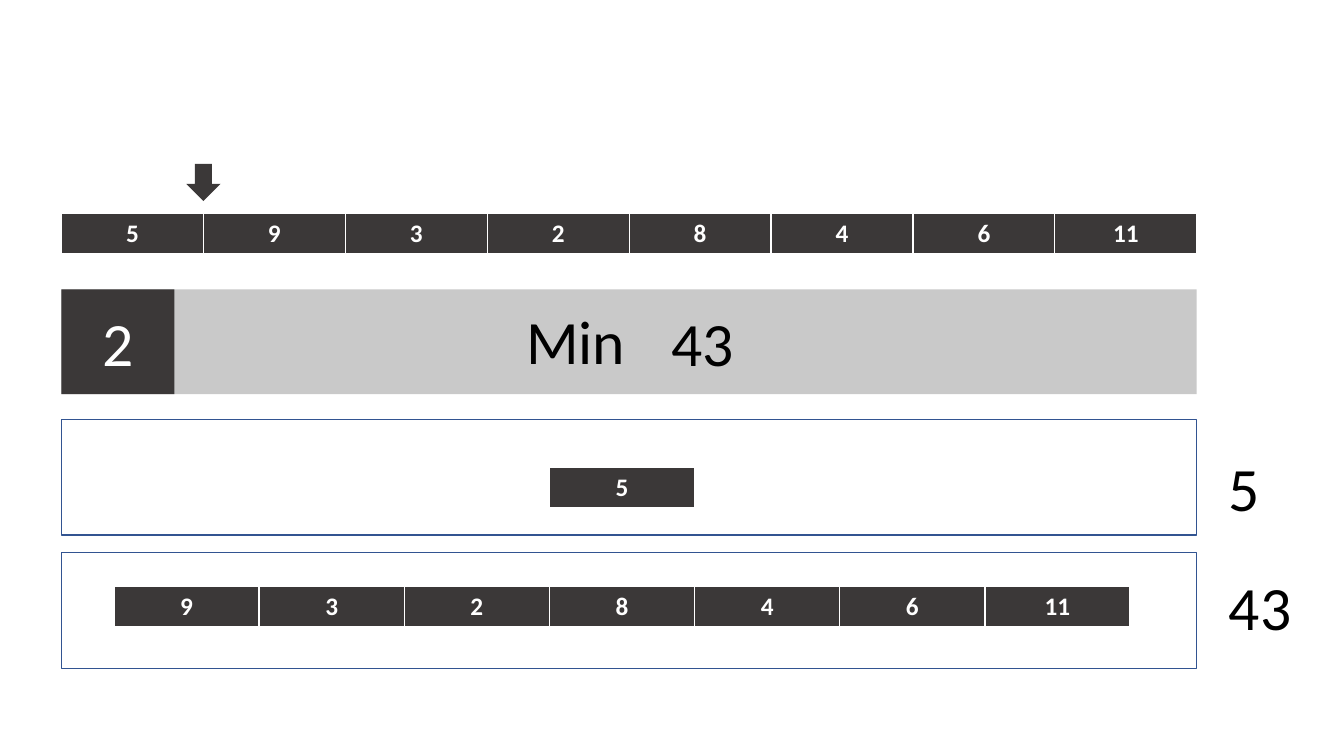
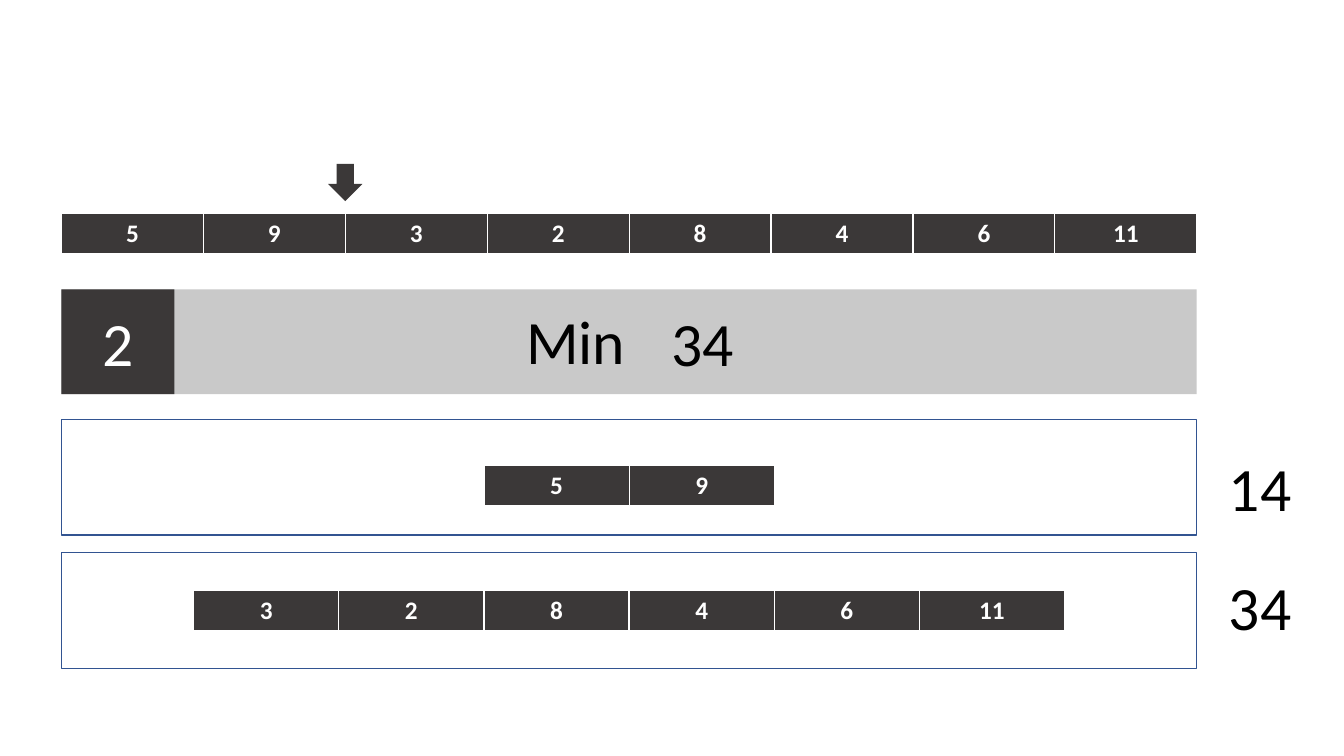
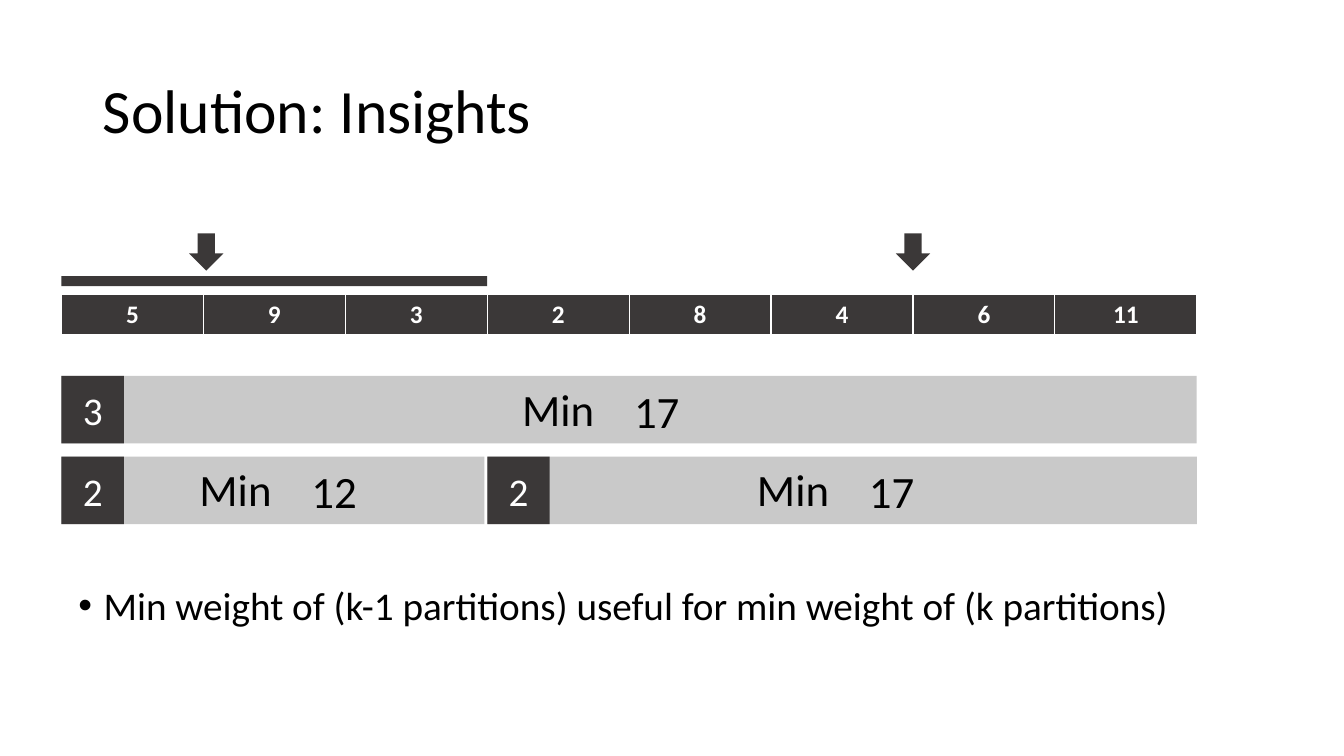
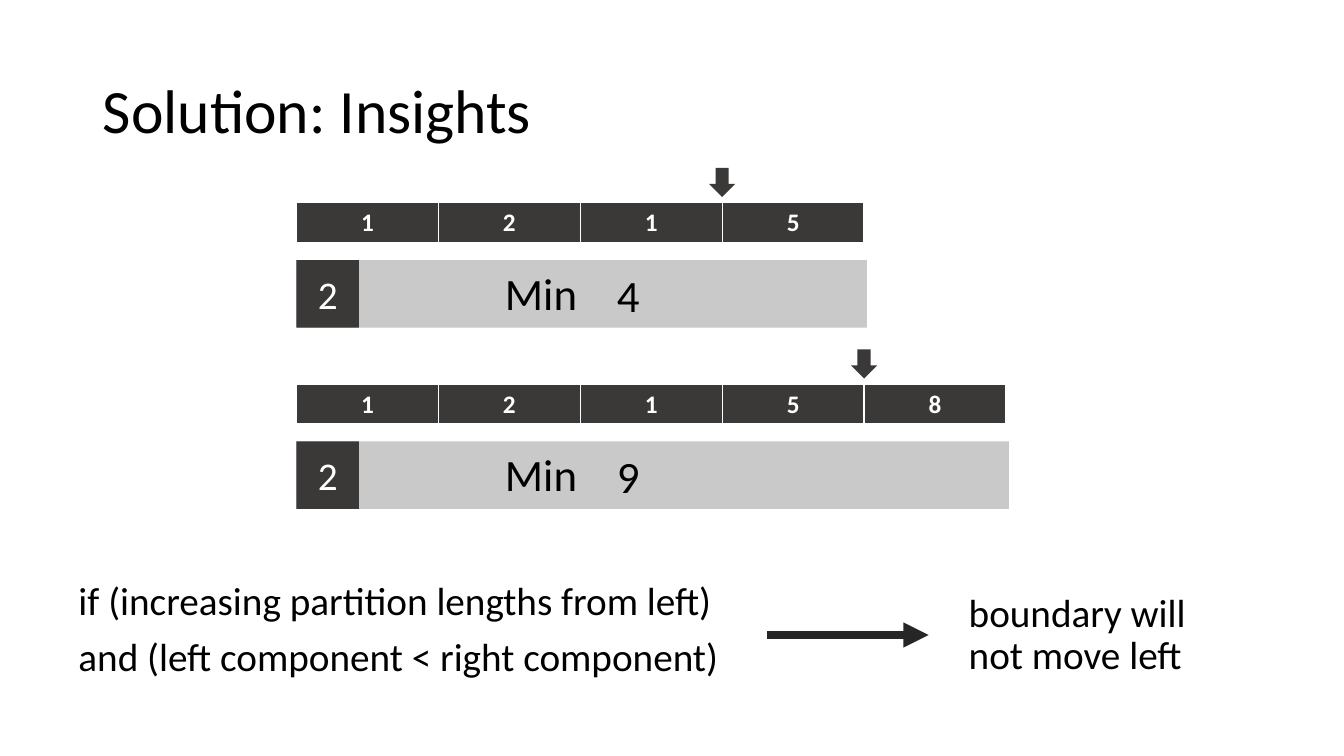
from lxml.etree import SubElement
from pptx import Presentation
from pptx.dml.color import RGBColor
from pptx.enum.shapes import MSO_CONNECTOR, MSO_SHAPE
from pptx.enum.text import MSO_ANCHOR, PP_ALIGN
from pptx.oxml.ns import qn
from pptx.util import Inches, Pt

DARK = RGBColor(0x3B, 0x38, 0x38)
GREY = RGBColor(0xC9, 0xC9, 0xC9)
BLUE = RGBColor(0x32, 0x54, 0x91)
INK = RGBColor(0x26, 0x26, 0x26)
BLACK = RGBColor(0, 0, 0)
WHITE = RGBColor(0xFF, 0xFF, 0xFF)
FONT = "Calibri"

SLIDE_WIDTH, SLIDE_HEIGHT = 13.33, 7.5
TITLE_ONLY, BLANK = 5, 6
MARGIN = 0.61
STRIP_WIDTH = 11.26
WEIGHTS = [5, 9, 3, 2, 8, 4, 6, 11]
COLUMN = STRIP_WIDTH / len(WEIGHTS)
GROUP_COLUMN = 1.44
CELL_HEIGHT = 0.41
GROUP_HEIGHT = 1.15
GROUP_TOPS = [4.16, 5.48]
TOTAL_CENTERS = [4.84, 6.02]
LARGE_BAR = {"height": 1.04, "badge": 1.12, "size": 44, "badge_size": 44, "step": 1.44}
SMALL_BAR = {"height": 0.67, "badge": 0.62, "size": 32, "badge_size": 28, "step": 1.11}


def inches(*lengths):
    """Convert several lengths to slide units."""
    return [Inches(length) for length in lengths]


def add_run(paragraph, text, size, color=BLACK, bold=False):
    """Append one formatted run to a paragraph."""
    run = paragraph.add_run()
    run.text = text
    run.font.name = FONT
    run.font.size = Pt(size)
    run.font.bold = bold
    run.font.color.rgb = color


def add_label(slide, text, left, center, width, size):
    """Place one line of text around a vertical centre."""
    height = size * 1.22 / 72 + 0.1
    label = slide.shapes.add_textbox(*inches(left, center - height / 2, width, height))
    label.text_frame.word_wrap = True
    add_run(label.text_frame.paragraphs[0], text, size)


def add_body(slide, lines, left, top, width, height, bullet=False):
    """Place body paragraphs, with bullets if wanted."""
    body = slide.shapes.add_textbox(*inches(left, top, width, height))
    frame = body.text_frame
    frame.word_wrap = True
    for index, line in enumerate(lines):
        paragraph = frame.add_paragraph() if index else frame.paragraphs[0]
        paragraph.line_spacing = 0.9
        paragraph.space_before = Pt(10)
        add_run(paragraph, line, 28)
        if bullet:
            properties = paragraph._p.get_or_add_pPr()
            properties.set("marL", str(Inches(0.25)))
            properties.set("indent", str(-Inches(0.25)))
            SubElement(properties, qn("a:buFont")).set("typeface", "Arial")
            SubElement(properties, qn("a:buChar")).set("char", "•")


def add_block(slide, left, top, width, height, fill=None, line=None, kind=MSO_SHAPE.RECTANGLE):
    """Draw a flat shape with an optional fill and outline."""
    block = slide.shapes.add_shape(kind, *inches(left, top, width, height))
    block.shadow.inherit = False
    if fill is None:
        block.fill.background()
    else:
        block.fill.solid()
        block.fill.fore_color.rgb = fill
    if line is None:
        block.line.fill.background()
    else:
        block.line.color.rgb = line
        block.line.width = Pt(1)
    return block


def add_border(cell, side, width):
    """Give one side of a cell a white border."""
    border = SubElement(cell._tc.get_or_add_tcPr(), qn(f"a:{side}"), w=str(Pt(width)))
    fill = SubElement(border, qn("a:solidFill"))
    SubElement(fill, qn("a:srgbClr")).set("val", str(WHITE))


def add_strip(slide, weights, left, top, column=COLUMN):
    """Draw a row of weights as a one-row table."""
    width = column * len(weights)
    table = slide.shapes.add_table(
        1, len(weights), *inches(left, top, width, CELL_HEIGHT)).table
    table.first_row = False
    table.horz_banding = False
    for index, weight in enumerate(weights):
        table.columns[index].width = Inches(column)
        cell = table.cell(0, index)
        for side, line_width in (("lnL", 1), ("lnR", 1), ("lnT", 1), ("lnB", 3)):
            add_border(cell, side, line_width)
        cell.fill.solid()
        cell.fill.fore_color.rgb = DARK
        paragraph = cell.text_frame.paragraphs[0]
        paragraph.alignment = PP_ALIGN.CENTER
        add_run(paragraph, str(weight), 18, WHITE, True)


def add_marker(slide, left, boundary, center, width=0.34, height=0.37):
    """Point an arrow at the boundary after the given column."""
    middle = left + boundary * COLUMN
    add_block(slide, middle - width / 2, center - height / 2, width, height,
              DARK, kind=MSO_SHAPE.DOWN_ARROW)


def add_minimum_bar(slide, left, top, columns, partitions, minimum, label_left, style):
    """Draw a bar with its partition count and minimum weight."""
    height = style["height"]
    add_block(slide, left, top, columns * COLUMN, height, GREY)
    badge = add_block(slide, left, top, style["badge"], height, DARK)
    badge.text_frame.vertical_anchor = MSO_ANCHOR.MIDDLE
    paragraph = badge.text_frame.paragraphs[0]
    paragraph.alignment = PP_ALIGN.CENTER
    add_run(paragraph, str(partitions), style["badge_size"], WHITE)
    center = top + height / 2 - 0.01
    add_label(slide, "Min", label_left, center, 1.23, style["size"])
    add_label(slide, str(minimum), label_left + style["step"], center + 0.02, 1.23, style["size"])


def add_group(slide, weights, top, total_center, inset, shift):
    """Frame one partition and write its total beside it."""
    add_block(slide, MARGIN, top, STRIP_WIDTH, GROUP_HEIGHT, line=BLUE)
    left = MARGIN + (STRIP_WIDTH - GROUP_COLUMN * len(weights)) / 2 - shift
    add_strip(slide, weights, left, top + inset, GROUP_COLUMN)
    add_label(slide, str(sum(weights)), 12.09, total_center, 0.93, 44)


def add_title(slide, text):
    """Fill and place the title placeholder."""
    title = slide.shapes.title
    title.left, title.top, title.width, title.height = inches(0.92, 0.4, 11.5, 1.45)
    title.text_frame.vertical_anchor = MSO_ANCHOR.MIDDLE
    paragraph = title.text_frame.paragraphs[0]
    paragraph.alignment = PP_ALIGN.LEFT
    paragraph.line_spacing = 0.9
    add_run(paragraph, text, 44)


def add_implication_arrow(slide, start, end, height):
    """Draw the thick arrow from condition to conclusion."""
    arrow = slide.shapes.add_connector(
        MSO_CONNECTOR.STRAIGHT, *inches(start, height, end, height))
    arrow.line.color.rgb = INK
    arrow.line.width = Pt(6)
    SubElement(arrow.line._get_or_add_ln(), qn("a:tailEnd")).set("type", "triangle")
    SubElement(arrow._element.spPr, qn("a:effectLst"))


def build_split_slide(presentation, boundary, insets, shift):
    """Show the weights split in two at one boundary."""
    slide = presentation.slides.add_slide(presentation.slide_layouts[BLANK])
    groups = [WEIGHTS[:boundary], WEIGHTS[boundary:]]
    add_marker(slide, MARGIN, boundary, 1.81)
    add_strip(slide, WEIGHTS, MARGIN, 2.12)
    add_minimum_bar(slide, MARGIN, 2.87, len(WEIGHTS), len(groups),
                    max(map(sum, groups)), 5.12, LARGE_BAR)
    for weights, top, center, inset in zip(groups, GROUP_TOPS, TOTAL_CENTERS, insets):
        add_group(slide, weights, top, center, inset, shift)


def build_insight_slide(presentation):
    """Create a slide with the insights title."""
    slide = presentation.slides.add_slide(presentation.slide_layouts[TITLE_ONLY])
    add_title(slide, "Solution: Insights")
    return slide


def build_reuse_slide(presentation):
    """Show how smaller partition counts help larger ones."""
    slide = build_insight_slide(presentation)
    prefix = 3
    second_left = MARGIN + prefix * COLUMN
    for boundary in (1.02, 6):
        add_marker(slide, MARGIN, boundary, 2.5)
    add_block(slide, MARGIN, 2.74, prefix * COLUMN, 0.1, DARK)
    add_strip(slide, WEIGHTS, MARGIN, 2.92)
    for left, top, columns, partitions, minimum, label_left in (
            (MARGIN, 3.73, len(WEIGHTS), 3, 17, 5.08),
            (MARGIN, 4.53, prefix - 0.02, 2, 12, 1.88),
            (second_left, 4.53, len(WEIGHTS) - prefix, 2, 17, 7.41)):
        add_minimum_bar(slide, left, top, columns, partitions, minimum, label_left, SMALL_BAR)
    add_body(slide, ["Min weight of (k-1 partitions) useful for min weight of (k partitions)"],
             0.68, 5.77, 11.5, 1.5, bullet=True)


def add_example(slide, weights, top, left=2.94):
    """Show weights, their last boundary and the minimum for two parts."""
    boundary = len(weights) - 1
    add_marker(slide, left, boundary, top - 0.2, 0.26, 0.29)
    add_strip(slide, weights, left, top)
    add_minimum_bar(slide, left, top + 0.57, len(weights) + 0.02, 2,
                    sum(weights[:boundary]), 4.91, SMALL_BAR)


def build_boundary_slide(presentation):
    """Show why the boundary does not move left."""
    slide = build_insight_slide(presentation)
    add_example(slide, [1, 2, 1, 5], 2.01)
    add_example(slide, [1, 2, 1, 5, 8], 3.81)
    add_body(slide, ["if (increasing partition lengths from left)",
                     "and (left component < right component)"], 0.68, 5.72, 7.39, 1.5)
    add_implication_arrow(slide, 7.61, 9.21, 6.3)
    add_body(slide, ["boundary will not move left"], 9.51, 5.84, 2.64, 1.38)


def main():
    """Build and save the presentation."""
    presentation = Presentation()
    presentation.slide_width, presentation.slide_height = inches(SLIDE_WIDTH, SLIDE_HEIGHT)
    build_split_slide(presentation, 1, (0.48, 0.34), 0.07)
    build_split_slide(presentation, 2, (0.46, 0.38), 0)
    build_reuse_slide(presentation)
    build_boundary_slide(presentation)
    presentation.save("out.pptx")


main()
